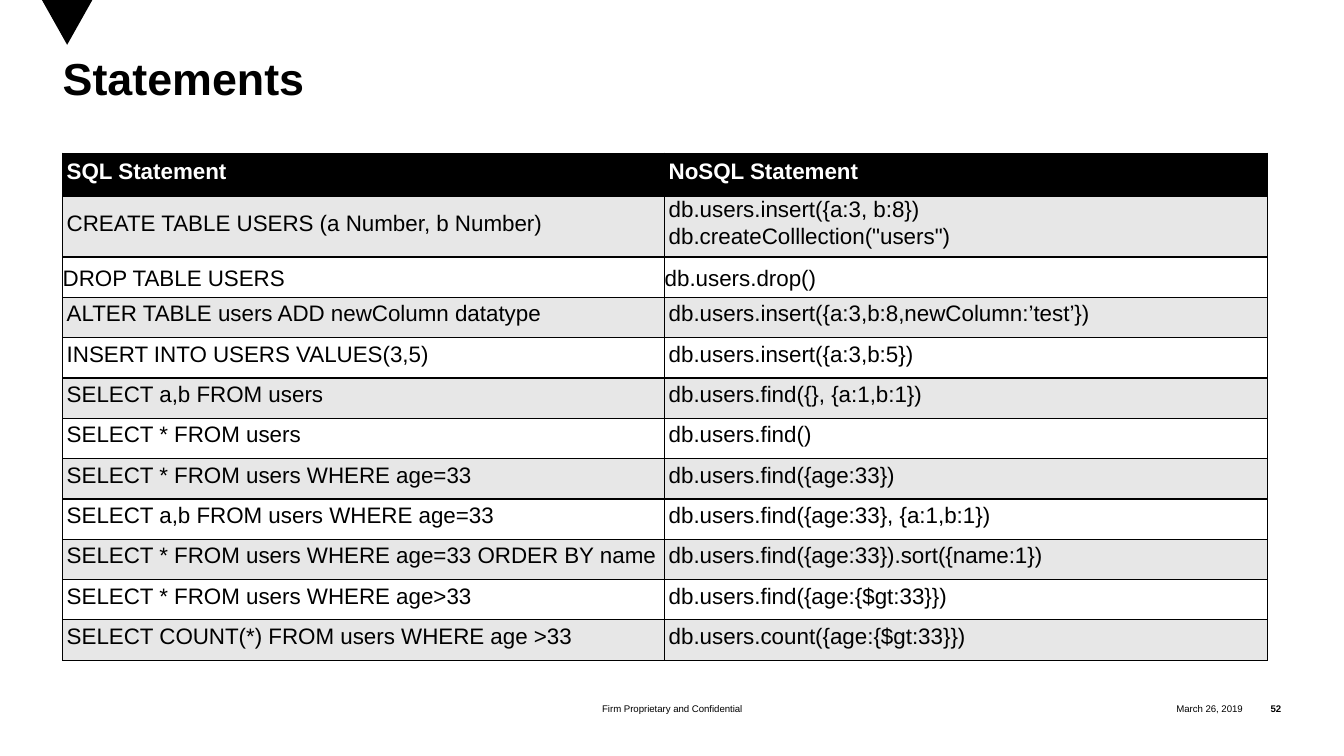
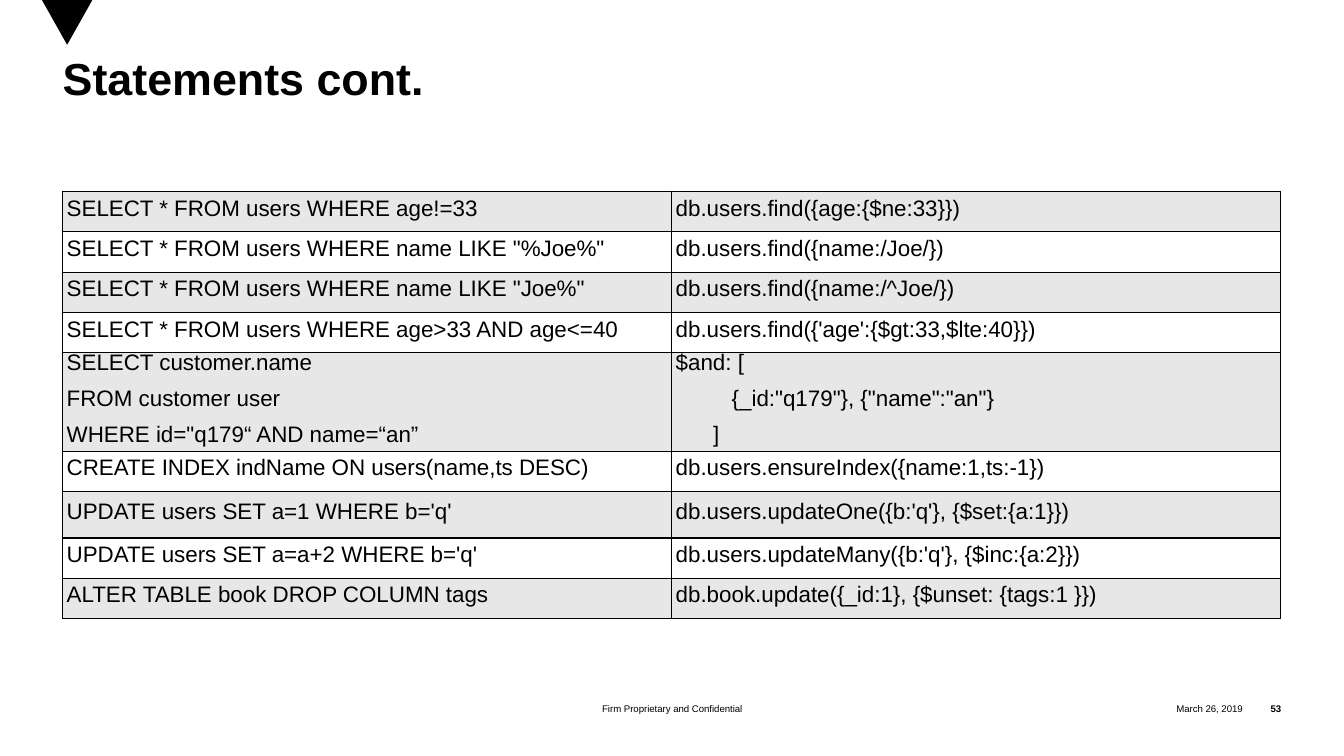
"""Build two slides that pair SQL statements with their document-database form."""
from lxml.etree import SubElement
from pptx import Presentation
from pptx.dml.color import RGBColor
from pptx.enum.text import MSO_ANCHOR as ANC, MSO_AUTO_SIZE as FIT, PP_ALIGN as AL
from pptx.oxml.ns import qn
from pptx.util import Pt

BLACK, WHITE, GREY = "000000", "FFFFFF", "E7E7E7"
LEFT = 44.8
ROW_H = 28.8
INSET = 2.9
MARKER = [(29.5, 0), (47.8, 32.4), (66.2, 0)]
FOOTER_TOP, FOOTER_H = 497.5, 18

NORMAL = {"line": Pt(13), "gap": 6.2, "inset": INSET}
PAIR = {"line": Pt(13), "gap": 3.1, "inset": INSET}
FLUSH = {"line": 1.15, "gap": 0, "inset": 0}

SLIDES = [
    {
        "title": "Statements",
        "number": "52",
        "top": 109.4,
        "widths": (430, 430.5),
        "header": ("SQL Statement", "NoSQL Statement"),
        "rows": [
            ("CREATE TABLE USERS (a Number, b Number)",
             ["db.users.insert({a:3, b:8})", 'db.createColllection("users")']),
            ("DROP TABLE USERS", "db.users.drop()"),
            ("ALTER TABLE users ADD newColumn datatype", "db.users.insert({a:3,b:8,newColumn:’test’})"),
            ("INSERT INTO USERS VALUES(3,5)", "db.users.insert({a:3,b:5})"),
            ("SELECT a,b FROM users", "db.users.find({}, {a:1,b:1})"),
            ("SELECT * FROM users", "db.users.find()"),
            ("SELECT * FROM users WHERE age=33", "db.users.find({age:33})"),
            ("SELECT a,b FROM users WHERE age=33", "db.users.find({age:33}, {a:1,b:1})"),
            ("SELECT * FROM users WHERE age=33 ORDER BY name", "db.users.find({age:33}).sort({name:1})"),
            ("SELECT * FROM users WHERE age>33", "db.users.find({age:{$gt:33}})"),
            ("SELECT COUNT(*) FROM users WHERE age >33", "db.users.count({age:{$gt:33}})"),
        ],
        "heights": {0: 43.2},
        "styles": {0: PAIR, 1: FLUSH},
    },
    {
        "title": "Statements cont.",
        "number": "53",
        "top": 136.8,
        "widths": (435, 435),
        "header": None,
        "rows": [
            ("SELECT * FROM users WHERE age!=33", "db.users.find({age:{$ne:33}})"),
            ('SELECT * FROM users WHERE name LIKE "%Joe%"', "db.users.find({name:/Joe/})"),
            ('SELECT * FROM users WHERE name LIKE "Joe%"', "db.users.find({name:/^Joe/})"),
            ("SELECT * FROM users WHERE age>33 AND age<=40", "db.users.find({'age':{$gt:33,$lte:40}})"),
            (["SELECT customer.name", "FROM customer user", 'WHERE id="q179“ AND name=“an”'],
             ["$and: [", (40, '{_id:"q179"}, {"name":"an"}'), (26.7, "]")]),
            ("CREATE INDEX indName ON users(name,ts DESC)", "db.users.ensureIndex({name:1,ts:-1})"),
            ("UPDATE users SET a=1 WHERE b='q'", "db.users.updateOne({b:'q'}, {$set:{a:1}})"),
            ("UPDATE users SET a=a+2 WHERE b='q'", "db.users.updateMany({b:'q'}, {$inc:{a:2}})"),
            ("ALTER TABLE book DROP COLUMN tags", "db.book.update({_id:1}, {$unset: {tags:1 }})"),
        ],
        "heights": {4: 70.4, 6: 33.1},
        "styles": {},
    },
]

FOOTERS = [
    (780.5, 107.3, AL.RIGHT, False, "March 26, 2019"),
    (887.8, 27.3, AL.RIGHT, True, None),
    (315.4, 329.8, AL.CENTER, False, "Firm Proprietary and Confidential"),
]


def rgb(value):
    return RGBColor.from_string(value)


def assign(obj, **values):
    for name, value in values.items():
        setattr(obj, name, value)


def place(sp, x, y, w, h):
    assign(sp, left=Pt(x), top=Pt(y), width=Pt(w), height=Pt(h))


def write(p, text, size, bold=False, color=BLACK, **para):
    assign(p, **para)
    r = p.add_run()
    r.text = text
    assign(r.font, name="Arial", size=Pt(size), bold=bold)
    r.font.color.rgb = rgb(color)


def set_frame(tf, anchor):
    assign(tf, word_wrap=True, auto_size=FIT.NONE, vertical_anchor=anchor,
           margin_left=0, margin_right=0, margin_top=0, margin_bottom=0)


def add_borders(cell):
    tc_pr = cell._tc.get_or_add_tcPr()
    for side in ("lnL", "lnR", "lnT", "lnB"):
        ln = SubElement(tc_pr, qn(f"a:{side}"), w=str(Pt(1)))
        SubElement(SubElement(ln, qn("a:solidFill")), qn("a:srgbClr"), val=BLACK)


def fill_cell(cell, content, style, fill, color=BLACK, bold=False):
    add_borders(cell)
    cell.fill.solid()
    cell.fill.fore_color.rgb = rgb(fill)
    inset = Pt(style["inset"])
    assign(cell, vertical_anchor=ANC.MIDDLE, margin_left=inset, margin_right=inset,
           margin_top=inset, margin_bottom=inset)
    tf = cell.text_frame
    lines = content if isinstance(content, list) else [content]
    for i, line in enumerate(lines):
        indent, text = line if isinstance(line, tuple) else (0, line)
        p = tf.add_paragraph() if i else tf.paragraphs[0]
        write(p, text, 16, bold, color, line_spacing=style["line"],
              space_before=Pt(style["gap"]), space_after=Pt(style["gap"]))
        if indent:
            p._p.get_or_add_pPr().set("marL", str(Pt(indent)))


def add_statements(s, data):
    rows = [(pair, data["heights"].get(i, ROW_H), data["styles"].get(i, NORMAL),
             (WHITE if i % 2 else GREY, BLACK, False))
            for i, pair in enumerate(data["rows"])]
    if data["header"]:
        rows.insert(0, (data["header"], 31, NORMAL, (BLACK, WHITE, True)))
    height = sum(row[1] for row in rows)
    table = s.shapes.add_table(len(rows), 2, Pt(LEFT), Pt(data["top"]),
                               Pt(sum(data["widths"])), Pt(height)).table
    assign(table, first_row=False, horz_banding=False)
    for col, width in zip(table.columns, data["widths"]):
        col.width = Pt(width)
    for row, (pair, row_h, style, look) in zip(table.rows, rows):
        row.height = Pt(row_h)
        for cell, content in zip(row.cells, pair):
            fill_cell(cell, content, style, *look)


def add_frame(s, data):
    builder = s.shapes.build_freeform(*MARKER[0], scale=Pt(1))
    builder.add_line_segments(MARKER[1:], close=True)
    sp = builder.convert_to_shape()
    sp.shadow.inherit = False
    sp.fill.solid()
    sp.fill.fore_color.rgb = rgb(BLACK)
    sp.line.fill.background()
    for x, w, align, bold, text in FOOTERS:
        box = s.shapes.add_textbox(Pt(x), Pt(FOOTER_TOP), Pt(w), Pt(FOOTER_H))
        set_frame(box.text_frame, ANC.MIDDLE)
        write(box.text_frame.paragraphs[0], text or data["number"], 6.9, bold, alignment=align)
    title = s.shapes.title
    place(title, LEFT, 41.8, 870, 93)
    set_frame(title.text_frame, ANC.TOP)
    write(title.text_frame.paragraphs[0], data["title"], 32, True,
          alignment=AL.LEFT, line_spacing=0.85)


def main():
    prs = Presentation()
    assign(prs, slide_width=Pt(960), slide_height=Pt(540))
    for data in SLIDES:
        s = prs.slides.add_slide(prs.slide_layouts[5])
        add_frame(s, data)
        add_statements(s, data)
    prs.save("out.pptx")


if __name__ == "__main__":
    main()
